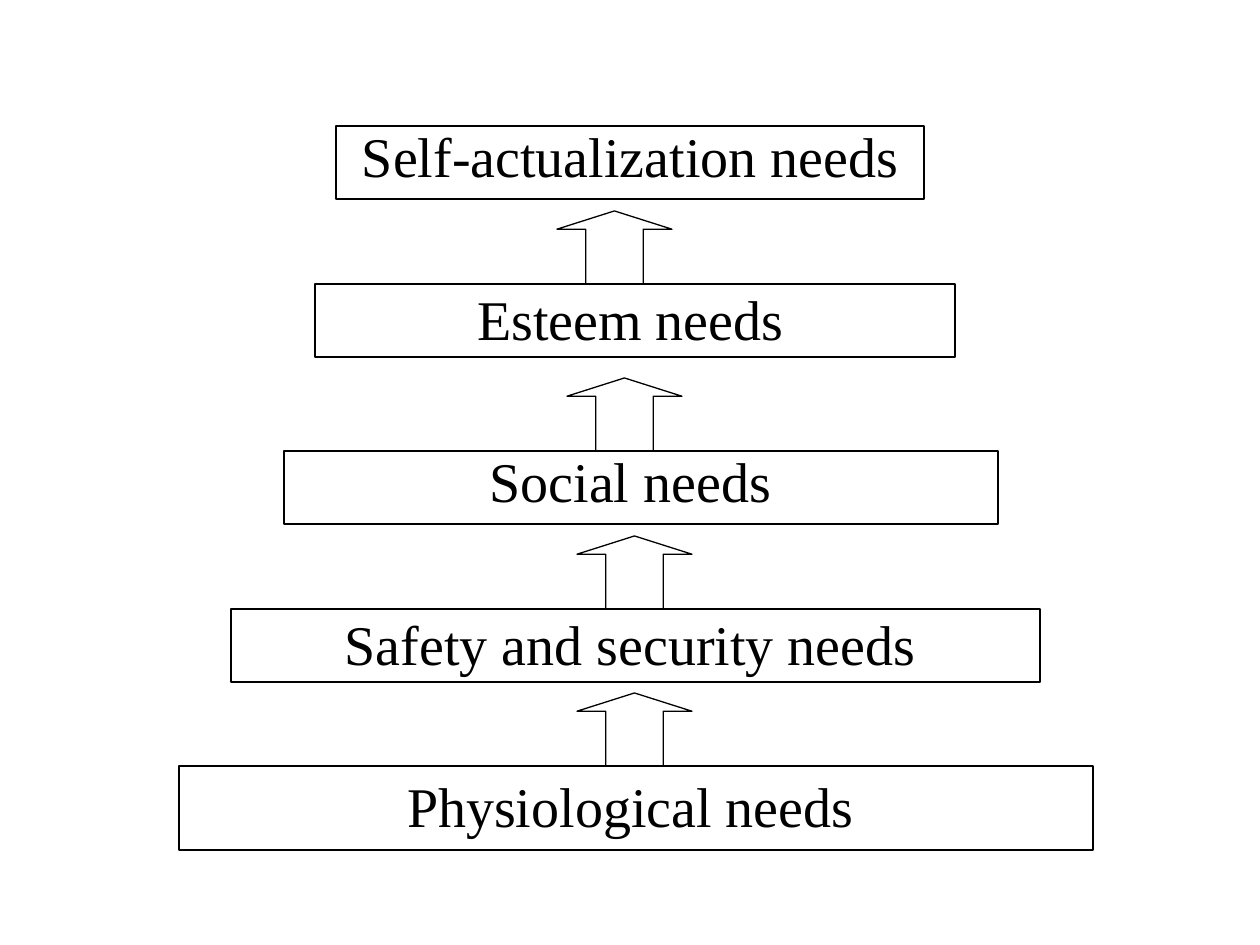
from dataclasses import dataclass
from typing import Optional

from lxml.etree import SubElement as Sub
from pptx import Presentation
from pptx.dml.color import RGBColor
from pptx.enum.shapes import MSO_SHAPE as Kind
from pptx.enum.text import MSO_ANCHOR as Anchor, MSO_AUTO_SIZE as Fit, PP_ALIGN as Align
from pptx.oxml.ns import qn
from pptx.util import Pt

BLACK = RGBColor(0, 0, 0)
FONT = "Times New Roman"
SCALE = 914400 / 126
RISE = 73
SPAN = 115
GAP = 54.4


@dataclass(frozen=True)
class Level:
    name: str
    left: int
    top: int
    width: int
    height: int = RISE
    arrow: Optional[int] = None


LEVELS = [
    Level("Self-actualization needs", 336, 126, 588),
    Level("Esteem needs", 315, 284, 640, arrow=557),
    Level("Social needs", 284, 451, 714, arrow=567),
    Level("Safety and security needs", 231, 609, 809, arrow=577),
    Level("Physiological needs", 179, 766, 914, 84, arrow=577),
]


def px(num: int) -> int:
    return round(num * SCALE)


def write(par, text: str, *, size: int = 32, color: RGBColor = BLACK, gap: float = 0) -> None:
    par.alignment = Align.CENTER
    par.space_before = Pt(gap)
    props = par._p.get_or_add_pPr()
    props.set("marL", "0")
    props.set("indent", "0")
    Sub(props, qn("a:buNone"))
    run = par.add_run()
    run.text = text
    run.font.name = FONT
    run.font.size = Pt(size)
    run.font.color.rgb = color


def draw(slide, kind: Kind, left: int, top: int, width: int, height: int):
    shape = slide.shapes.add_shape(kind, px(left), px(top), px(width), px(height))
    shape.shadow.inherit = False
    shape.fill.background()
    shape.line.color.rgb = BLACK
    shape.line.width = Pt(0.75)
    return shape


def fill(body, levels: list[Level]) -> None:
    body.left, body.top, body.width, body.height = map(px, (95, 116, 1071, 725))
    frame = body.text_frame
    frame.word_wrap = True
    frame.auto_size = Fit.NONE
    frame.vertical_anchor = Anchor.TOP
    frame.margin_top = px(6)
    for rank, level in enumerate(levels):
        par = frame.add_paragraph() if rank else frame.paragraphs[0]
        write(par, level.name, gap=GAP if rank else 0)


def main() -> None:
    deck = Presentation()
    deck.slide_width, deck.slide_height = px(1260), px(945)
    slide = deck.slides.add_slide(deck.slide_layouts[1])
    title = slide.shapes.title.element
    title.getparent().remove(title)
    fill(slide.placeholders[1], LEVELS)
    for level in LEVELS:
        draw(slide, Kind.RECTANGLE, level.left, level.top, level.width, level.height)
        if level.arrow is not None:
            arrow = draw(slide, Kind.UP_ARROW, level.arrow, level.top - RISE, SPAN, RISE)
            arrow.adjustments[0] = 0.5
            arrow.adjustments[1] = 0.25
    deck.save("out.pptx")


if __name__ == "__main__":
    main()
